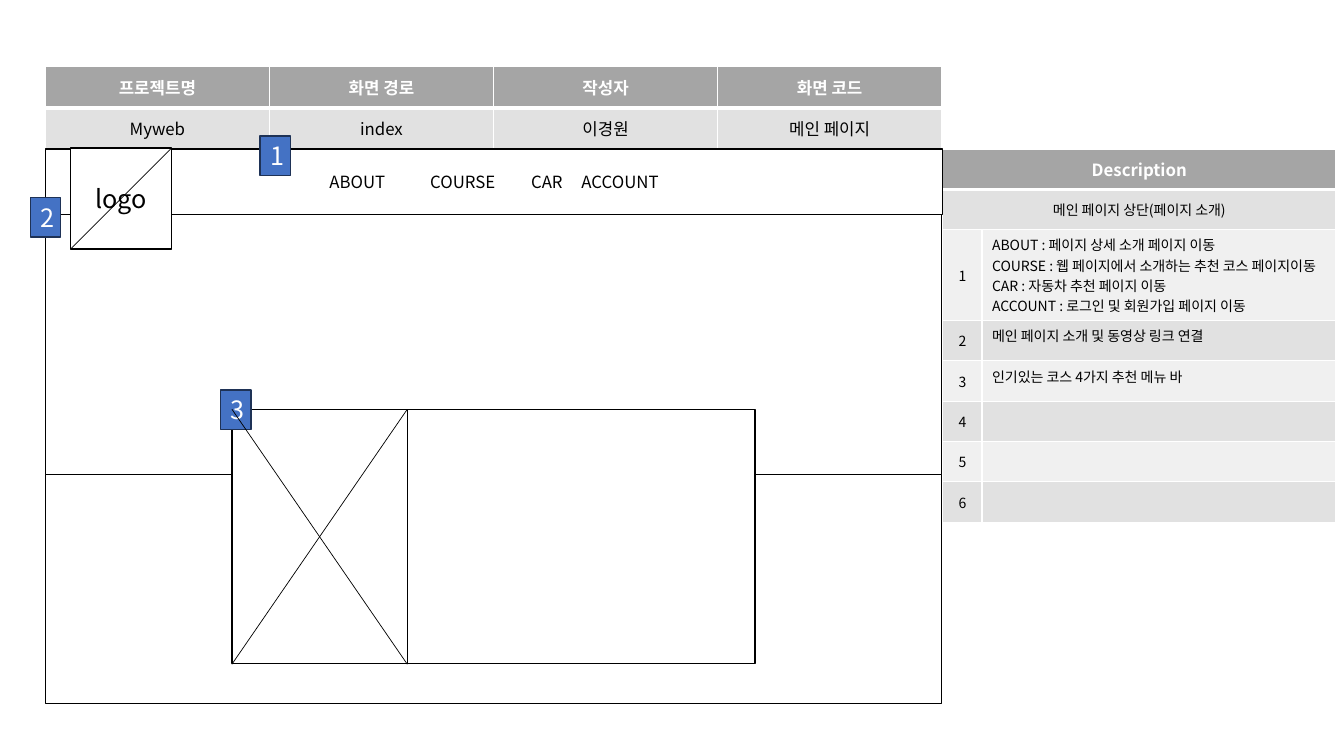
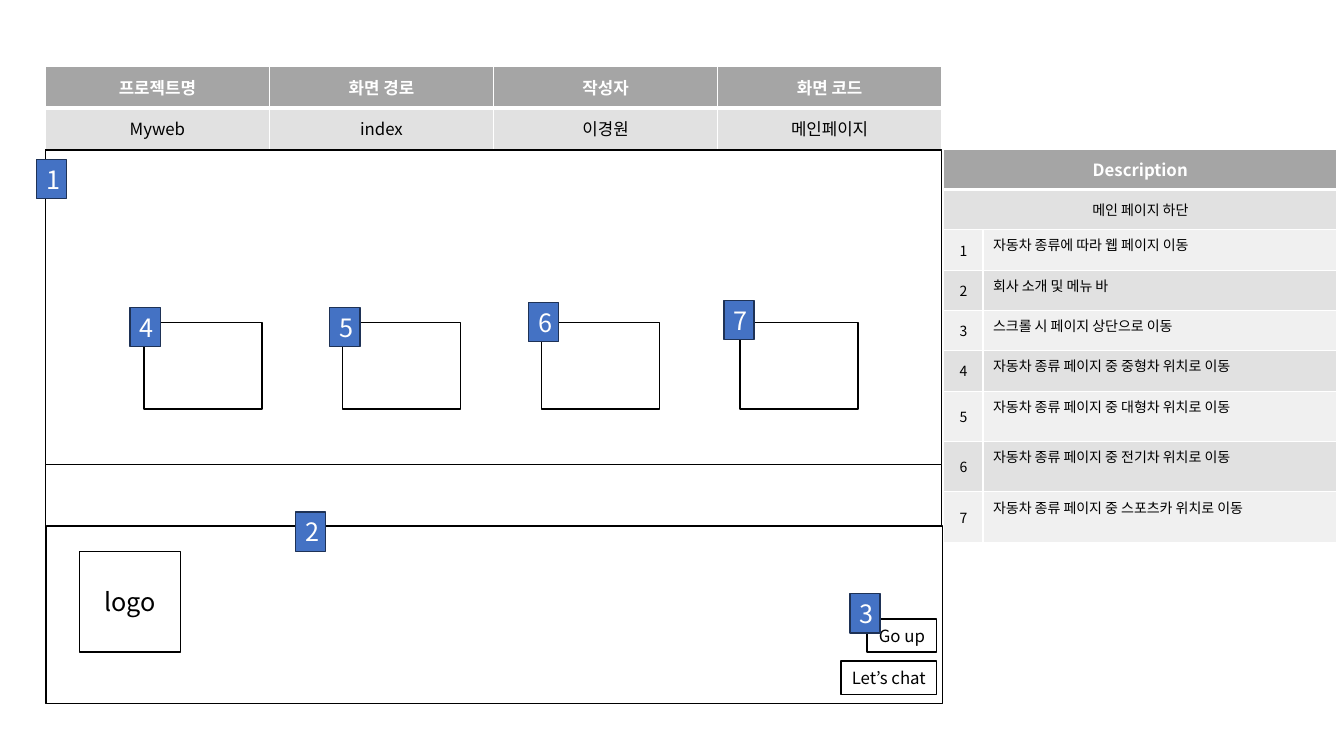
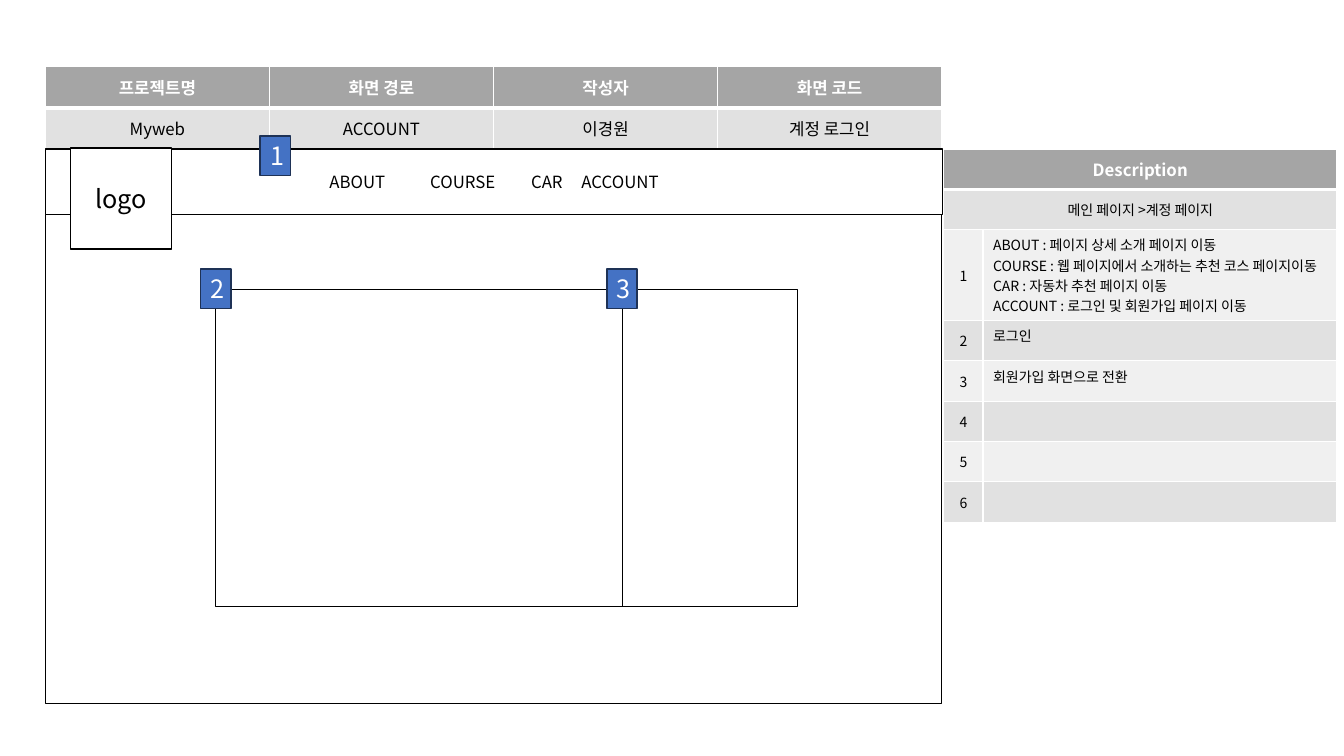
"""Builds three wireframe slides for a web site storyboard."""
from lxml import etree
from pptx import Presentation
from pptx.dml.color import RGBColor
from pptx.enum.shapes import MSO_CONNECTOR, MSO_SHAPE
from pptx.enum.text import MSO_ANCHOR, PP_ALIGN
from pptx.oxml.ns import qn
from pptx.util import Inches, Pt

RECT = MSO_SHAPE.RECTANGLE
LINE = MSO_CONNECTOR.STRAIGHT
MID, TOP = MSO_ANCHOR.MIDDLE, MSO_ANCHOR.TOP
CENTER, LEFT = PP_ALIGN.CENTER, PP_ALIGN.LEFT
FONT = "Noto Sans CJK KR"
COLORS = {
    "head": "A5A5A5",
    "odd": "E1E1E1",
    "even": "F0F0F0",
    "white": "FFFFFF",
    "black": "000000",
    "badge": "4472C4",
    "edge": "1E3256",
}
HEADS = ["프로젝트명", "화면 경로", "작성자", "화면 코드"]
MENU = [
    "ABOUT : 페이지 상세 소개 페이지 이동",
    "COURSE : 웹 페이지에서 소개하는 추천 코스 페이지이동",
    "CAR : 자동차 추천 페이지 이동",
    "ACCOUNT : 로그인 및 회원가입 페이지 이동",
]
PAGE_X, PAGE_Y, PAGE_W, PAGE_H = 0.45, 1.48, 8.89, 5.5


def color(name):
    return RGBColor.from_string(COLORS[name])


class Board:
    def __init__(self):
        self.deck = Presentation()
        self.deck.slide_width = Inches(13.33)
        self.deck.slide_height = Inches(7.5)
        self.slide = None

    def page(self, route, code):
        self.slide = self.deck.slides.add_slide(self.deck.slide_layouts[6])
        rows = [HEADS, ["Myweb", route, "이경원", code]]
        self.grid(PAGE_X, 0.66, [PAGE_W / 4] * 4, [0.41] * 2, rows, 12)
        self.box(PAGE_X, PAGE_Y, PAGE_W, PAGE_H, fill=None, width=0.75)

    def text(self, frame, lines, size, ink, bold=False, align=CENTER):
        for i, line in enumerate(lines):
            para = frame.paragraphs[0] if i == 0 else frame.add_paragraph()
            para.alignment = align
            if line:
                run = para.add_run()
                run.text = line
                font = run.font
                font.name, font.size, font.bold = FONT, Pt(size), bold
                font.color.rgb = color(ink)
                east = etree.SubElement(run._r.get_or_add_rPr(), qn("a:ea"))
                east.set("typeface", FONT)
            else:
                end = etree.SubElement(para._p, qn("a:endParaRPr"))
                end.set("sz", str(size * 100))

    def box(self, x, y, w, h, label="", size=12, fill="white", line="black",
            ink="black", width=1):
        shape = self.slide.shapes.add_shape(
            RECT, Inches(x), Inches(y), Inches(w), Inches(h))
        shape.shadow.inherit = False
        if fill:
            shape.fill.solid()
            shape.fill.fore_color.rgb = color(fill)
        else:
            shape.fill.background()
        shape.line.color.rgb = color(line)
        shape.line.width = Pt(width)
        if label:
            shape.text_frame.vertical_anchor = MID
            self.text(shape.text_frame, [label], size, ink)

    def badge(self, num, x, y):
        self.box(x, y, 0.3, 0.39, str(num), 18, "badge", "edge", "white")

    def logo(self, x, y):
        self.box(x, y, 1, 1, "logo", 18)

    def menu(self):
        self.box(PAGE_X, PAGE_Y, 8.9, 0.65, "ABOUT\tCOURSE\tCAR\tACCOUNT")

    def line(self, x1, y1, x2, y2):
        rule = self.slide.shapes.add_connector(
            LINE, Inches(x1), Inches(y1), Inches(x2), Inches(y2))
        rule.line.color.rgb = color("black")
        rule.line.width = Pt(0.5)
        etree.SubElement(rule._element.spPr, qn("a:effectLst"))

    def border(self, cell, low):
        props = cell._tc.get_or_add_tcPr()
        for side in "LRTB":
            edge = etree.SubElement(props, qn(f"a:ln{side}"))
            edge.set("w", str(Pt(low if side == "B" else 1)))
            fill = etree.SubElement(edge, qn("a:solidFill"))
            etree.SubElement(fill, qn("a:srgbClr")).set("val", COLORS["white"])

    def grid(self, x, y, cols, highs, rows, size):
        table = self.slide.shapes.add_table(
            len(rows), len(cols), Inches(x), Inches(y),
            Inches(sum(cols)), Inches(sum(highs))).table
        table.first_row = table.horz_banding = False
        for col, wide in zip(table.columns, cols):
            col.width = Inches(wide)
        for row, high in zip(table.rows, highs):
            row.height = Inches(high)
        for r, row in enumerate(rows):
            head = r == 0
            tone = "head" if head else "odd" if r % 2 else "even"
            for c, item in enumerate(row):
                cell = table.cell(r, c)
                note = isinstance(item, list)
                cell.vertical_anchor = TOP if note else MID
                self.border(cell, 3 if head else 1)
                cell.fill.solid()
                cell.fill.fore_color.rgb = color(tone)
                self.text(cell.text_frame, item if note else [item],
                          12 if head else size, "white" if head else "black",
                          head, LEFT if note else CENTER)
            if row[-1] is None:
                table.cell(r, 0).merge(table.cell(r, len(row) - 1))

    def notes(self, x, title, items, highs):
        rows = [["Description", None], [title, None]]
        rows += [[str(i), item] for i, item in enumerate(items, 1)]
        self.grid(x, PAGE_Y, [0.39, 3.51], [0.4, 0.4] + highs, rows, 10)


def main_top(board):
    board.page("index", "메인 페이지")
    items = [MENU, ["메인 페이지 소개 및 동영상 링크 연결"],
             ["인기있는 코스 4가지 추천 메뉴 바"], [""], [""], [""]]
    board.notes(9.35, "메인 페이지 상단(페이지 소개)", items, [0.9] + [0.4] * 5)
    board.menu()
    board.box(PAGE_X, 2.13, PAGE_W, 2.58)
    board.logo(0.7, 1.47)
    board.box(2.3, 4.06, 5.19, 2.52)
    for num, x, y in [(1, 2.58, 1.35), (2, 0.3, 1.96), (3, 2.19, 3.87)]:
        board.badge(num, x, y)
    board.line(1.7, 1.47, 0.7, 2.47)
    left, right, top, low = 2.3, 4.04, 4.06, 6.59
    board.line(right, top, right, low)
    board.line(right, top, left, low)
    board.line(right, low, left, top)


def main_low(board):
    board.page("index", "메인페이지")
    items = [["자동차 종류에 따라 웹 페이지 이동"], ["회사 소개 및 메뉴 바"],
             ["스크롤 시 페이지 상단으로 이동"]]
    items += [[f"자동차 종류 페이지 중 {kind} 위치로 이동"]
              for kind in ("중형차", "대형차", "전기차", "스포츠카")]
    board.notes(9.36, "메인 페이지 하단", items, [0.4] * 4 + [0.5] * 3)
    board.box(PAGE_X, 1.49, PAGE_W, 3.12)
    board.box(0.46, 5.22, PAGE_W, 1.76)
    board.box(8.34, 6.56, 0.95, 0.33, "Let’s chat")
    board.box(8.6, 6.14, 0.69, 0.33, "Go up")
    board.logo(0.79, 5.47)
    for i in range(4):
        board.box(1.43 + i * 1.97, 3.2, 1.17, 0.86)
    spots = [(0.36, 1.58), (2.93, 5.08), (8.43, 5.89), (1.29, 3.05),
             (3.27, 3.05), (5.24, 3), (7.18, 2.98)]
    for num, (x, y) in enumerate(spots, 1):
        board.badge(num, x, y)


def account(board):
    board.page("ACCOUNT", "계정 로그인")
    items = [MENU, ["로그인"], ["회원가입 화면으로 전환"], [""], [""], [""]]
    board.notes(9.36, "메인 페이지 >계정 페이지", items, [0.9] + [0.4] * 5)
    board.menu()
    board.logo(0.7, 1.47)
    board.box(2.14, 2.87, 5.77, 3.15)
    board.line(6.17, 2.87, 6.17, 6.02)
    for num, x, y in [(1, 2.58, 1.35), (2, 1.99, 2.67), (3, 6.02, 2.67)]:
        board.badge(num, x, y)


def main():
    board = Board()
    for draw in (main_top, main_low, account):
        draw(board)
    board.deck.save("out.pptx")


if __name__ == "__main__":
    main()
